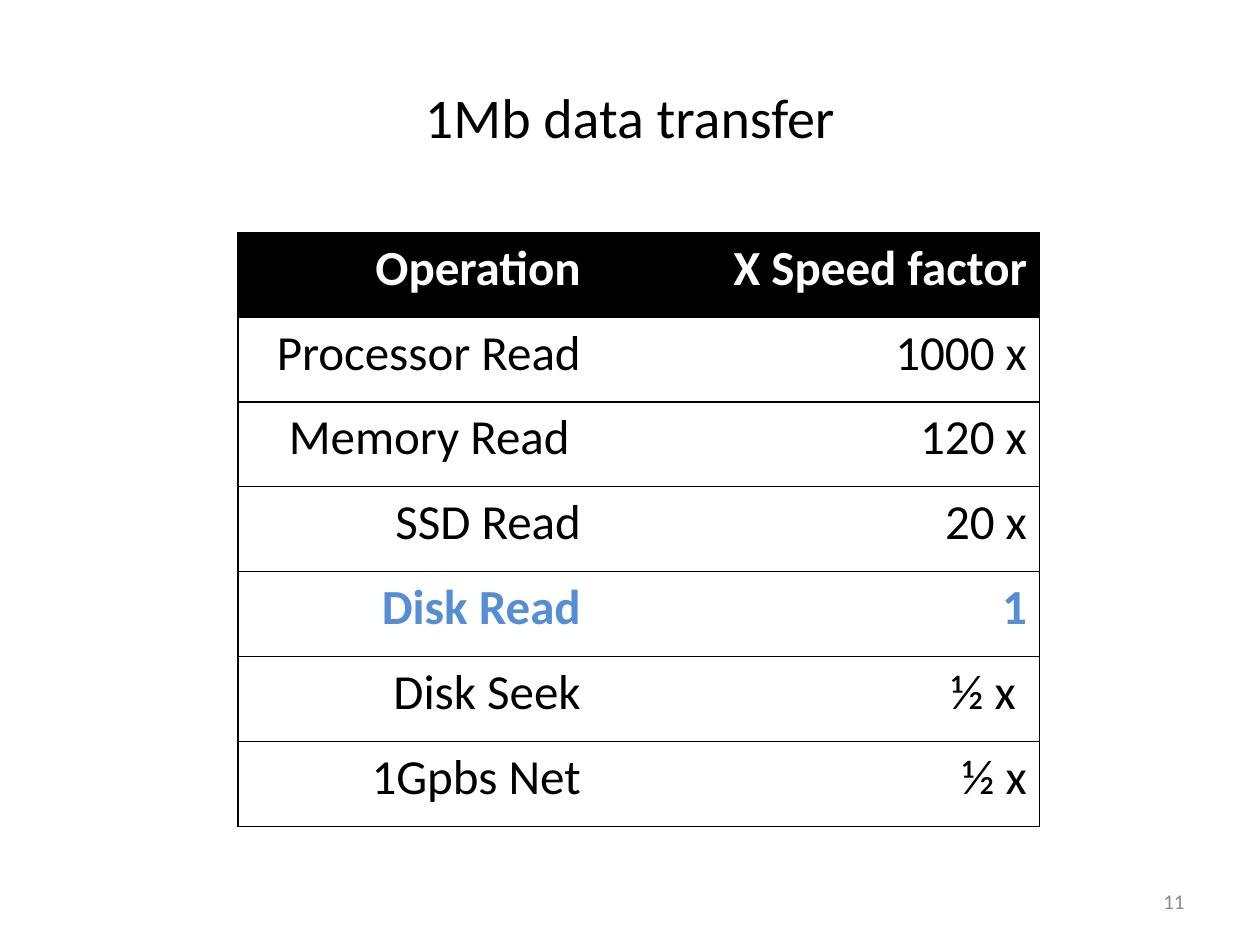
from dataclasses import dataclass

from lxml import etree
from pptx import Presentation
from pptx.dml.color import RGBColor
from pptx.enum.text import MSO_ANCHOR, PP_ALIGN
from pptx.oxml.ns import qn
from pptx.util import Pt

CENTER, RIGHT = PP_ALIGN.CENTER, PP_ALIGN.RIGHT
TOP, MIDDLE = MSO_ANCHOR.TOP, MSO_ANCHOR.MIDDLE
TITLE_ONLY = 5


@dataclass(frozen=True)
class Theme:
    font: str = "Calibri"
    black: str = "000000"
    white: str = "FFFFFF"
    highlight: str = "558ED5"
    grey: str = "8C8C8C"
    title_size: float = 32
    table_size: float = 28
    number_size: float = 12
    border: float = 0.75


THEME = Theme()
HEADER_ROW, BASELINE_ROW = 0, 4
ROWS = [
    ("Operation", "X Speed factor"),
    ("Processor Read", "1000 x"),
    ("Memory Read ", "120 x"),
    ("SSD Read", "20 x"),
    ("Disk Read", "1"),
    ("Disk Seek", "½ x "),
    ("1Gpbs Net", "½ x"),
]
COLUMN_WIDTHS = (203, 255)
ROW_HEIGHT = 48.5


def write(frame, text, size, color, align, bold=False):
    para = frame.paragraphs[0]
    para.alignment = align
    span = para.add_run()
    span.text = text
    style = {"name": THEME.font, "size": Pt(size), "bold": bold}
    for name, value in style.items():
        setattr(span.font, name, value)
    span.font.color.rgb = RGBColor.from_string(color)


def place(shape, left, top, width, height):
    bounds = {"left": left, "top": top, "width": width, "height": height}
    for name, value in bounds.items():
        setattr(shape, name, Pt(value))


def add_title(page, text):
    title = page.shapes.title
    place(title, 36, 21.6, 648, 90)
    title.text_frame.vertical_anchor = MIDDLE
    write(title.text_frame, text, THEME.title_size, THEME.black, CENTER)


def add_page_number(page, text):
    box = page.shapes.add_textbox(Pt(516), Pt(500.5), Pt(168), Pt(28.75))
    box.text_frame.word_wrap = True
    box.text_frame.vertical_anchor = MIDDLE
    write(box.text_frame, text, THEME.number_size, THEME.grey, RIGHT)


def set_borders(cell, visible):
    """Draw the visible sides (of L, R, T, B) and blank out the others."""
    properties = cell._tc.get_or_add_tcPr()
    for side in "LRTB":
        line = etree.SubElement(properties, qn(f"a:ln{side}"), w=str(Pt(THEME.border)))
        if side in visible:
            fill = etree.SubElement(line, qn("a:solidFill"))
            etree.SubElement(fill, qn("a:srgbClr"), val=THEME.black)
        else:
            etree.SubElement(line, qn("a:noFill"))


def format_cell(cell, text, fill, color, bold, borders):
    set_borders(cell, borders)
    cell.fill.solid()
    cell.fill.fore_color.rgb = RGBColor.from_string(fill)
    cell.vertical_anchor = TOP
    write(cell.text_frame, text, THEME.table_size, color, RIGHT, bold)


def add_speed_table(page):
    table = page.shapes.add_table(
        len(ROWS), len(COLUMN_WIDTHS), Pt(136), Pt(132.75),
        Pt(sum(COLUMN_WIDTHS)), Pt(ROW_HEIGHT * len(ROWS)),
    ).table
    for column, width in zip(table.columns, COLUMN_WIDTHS):
        column.width = Pt(width)
    row_styles = {
        HEADER_ROW: (THEME.black, THEME.white, True),
        BASELINE_ROW: (THEME.white, THEME.highlight, True),
    }
    plain = (THEME.white, THEME.black, False)
    for row, texts in enumerate(ROWS):
        table.rows[row].height = Pt(ROW_HEIGHT)
        fill, color, bold = row_styles.get(row, plain)
        for column, (text, borders) in enumerate(zip(texts, ("LTB", "RTB"))):
            format_cell(table.cell(row, column), text, fill, color, bold, borders)


def main():
    deck = Presentation()
    deck.slide_width, deck.slide_height = Pt(720), Pt(540)
    page = deck.slides.add_slide(deck.slide_layouts[TITLE_ONLY])
    add_title(page, "1Mb data transfer")
    add_page_number(page, "11")
    add_speed_table(page)
    deck.save("out.pptx")


if __name__ == "__main__":
    main()
